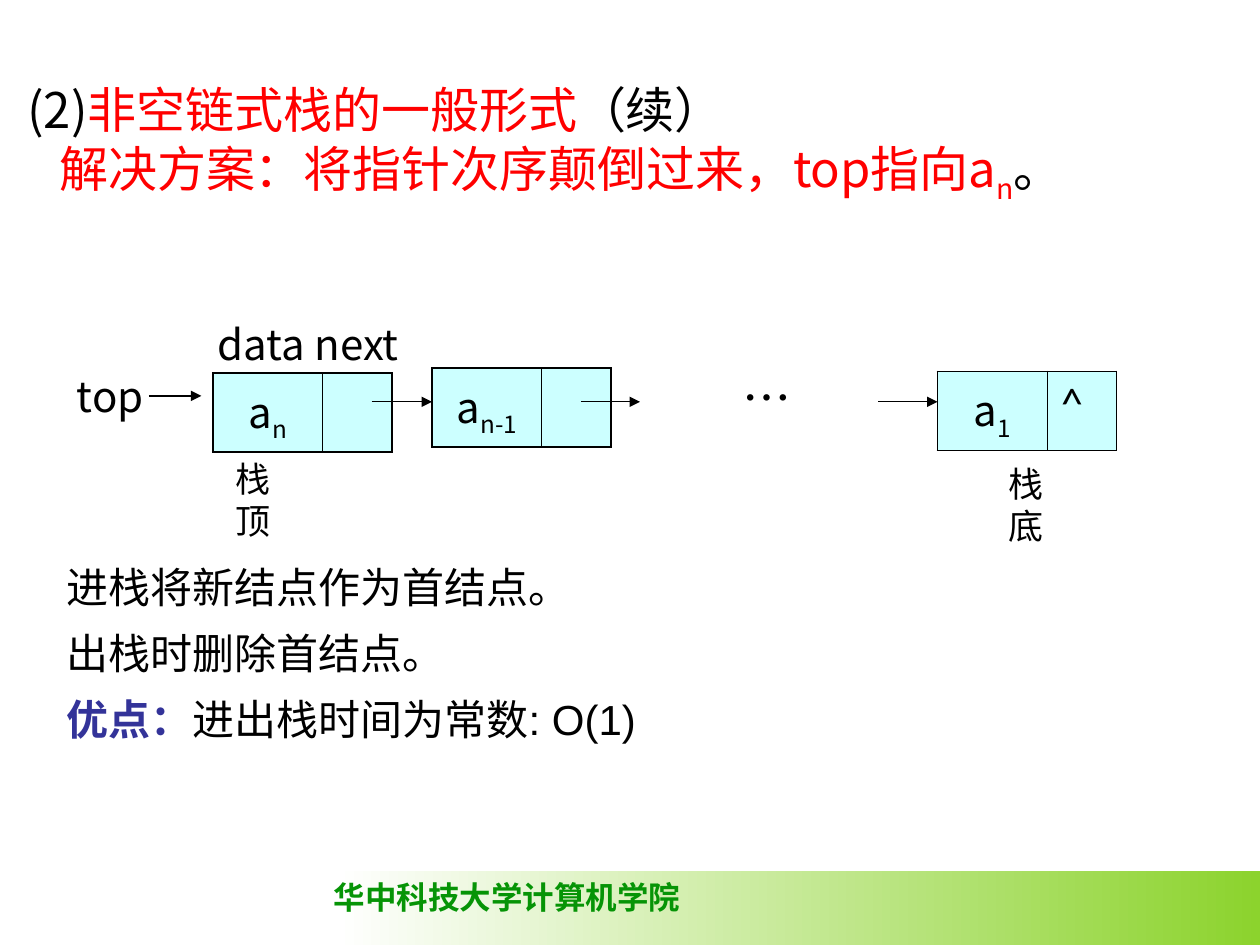
from lxml.etree import SubElement
from pptx import Presentation
from pptx.dml.color import RGBColor as RGB
from pptx.enum.shapes import MSO_CONNECTOR as LINE, MSO_SHAPE as SHAPE
from pptx.enum.text import MSO_ANCHOR as ANCHOR, MSO_AUTO_SIZE as SIZE, PP_ALIGN as ALIGN
from pptx.oxml.ns import qn
from pptx.util import Cm, Pt

HUE = {"ink": "000000", "red": "FF0000", "blue": "333399", "cell": "CCFFFF",
       "green": "069406", "lime": "8CD32D", "white": "FFFFFF"}
NOTO = "Noto Sans CJK SC"


def write(para, parts, size, face=NOTO, bold=False):
    for text, hue, *sub in parts:
        run = para.add_run()
        run.text = text
        font = run.font
        font.size, font.name, font.bold = Pt(size), face, bold or hue == "blue"
        font.color.rgb = RGB.from_string(HUE[hue])
        props = run._r.get_or_add_rPr()
        SubElement(props, qn("a:ea")).set("typeface", NOTO)
        if sub:
            props.set("baseline", "-25000")


def border(cell, sides):
    props = cell._tc.get_or_add_tcPr()
    for side, width in zip("LRTB", sides):
        edge = SubElement(props, qn("a:ln" + side), w=str(Pt(width)))
        fill = SubElement(edge, qn("a:solidFill"))
        SubElement(fill, qn("a:srgbClr"), val=HUE["ink"])


deck = Presentation()
deck.slide_width, deck.slide_height = Cm(25.4), Cm(19.05)
slide = deck.slides.add_slide(deck.slide_layouts[1])
shapes = slide.shapes

band = shapes.add_shape(SHAPE.RECTANGLE, Cm(6.78), Cm(17.55), Cm(18.62), Cm(1.5))
band.shadow.inherit = False
band.line.fill.background()
band.fill.gradient()
band.fill.gradient_angle = 0
for stop, hue in zip(band.fill.gradient_stops, ("white", "lime")):
    stop.color.rgb = RGB.from_string(HUE[hue])

head = [
    [("(2)", "ink"), ("非空链式栈的一般形式", "red"), ("（续）", "ink")],
    [("解决方案：将指针次序颠倒过来，top指向a", "red"), ("n", "red", "sub"), ("。", "ink")],
]
notes = [
    [("进栈将新结点作为首结点。", "ink")],
    [("出栈时删除首结点。", "ink")],
    [("优点：", "blue"), ("进出栈时间为常数: O(1)", "ink")],
]
blocks = [
    (shapes.title, (0.3, 1.6, 24.56, 3.3), head, 28, NOTO, 0, (0, 0.64)),
    (shapes.placeholders[1], (1.09, 11.18, 23.01, 5.5), notes, 24, "Arial", 9, (0, 0, 0)),
]
for box, place, lines, size, face, gap, margins in blocks:
    box.left, box.top, box.width, box.height = map(Cm, place)
    frame = box.text_frame
    frame.auto_size, frame.vertical_anchor = SIZE.NONE, ANCHOR.TOP
    frame.margin_top = 0 if box == shapes.title else Cm(0.13)
    for i, (line, margin) in enumerate(zip(lines, margins)):
        para = frame.add_paragraph() if i else frame.paragraphs[0]
        para.alignment = ALIGN.LEFT
        para.space_before = Pt(gap if i else 0)
        props = para._p.get_or_add_pPr()
        props.set("marL", str(Cm(margin)))
        props.set("indent", "0")
        SubElement(props, qn("a:buNone"))
        write(para, line, size, face)

nodes = [(4.29, 7.52, "n", ""), (8.71, 7.42, "n-1", ""), (18.9, 7.49, "1", "^")]
for left, top, sub, link in nodes:
    table = shapes.add_table(1, 2, Cm(left), Cm(top), Cm(3.61), Cm(1.59)).table
    table.first_row = table.horz_banding = False
    table.columns[0].width, table.columns[1].width = Cm(2.21), Cm(1.4)
    data, after = table.cell(0, 0), table.cell(0, 1)
    border(data, (1.08, 0.45, 1.08, 1.08))
    border(after, (0.45, 1.08, 1.08, 1.08))
    for cell in (data, after):
        cell.fill.solid()
        cell.fill.fore_color.rgb = RGB.from_string(HUE["cell"])
    para = data.text_frame.paragraphs[0]
    para.alignment = ALIGN.CENTER
    write(para, [("a", "ink"), (sub, "ink", "sub")], 24)
    if link:
        write(after.text_frame.paragraphs[0], [(link, "ink")], 24, "Lato")

labels = [
    ("data next", 4.14, 6.3, 4.24, 1.27, 24, "ink"),
    ("top", 1.3, 7.34, 1.9, 1.27, 24, "ink"),
    ("栈底", 20.09, 9.19, 1.9, 1.12, 20, "ink"),
    ("栈顶", 4.5, 9.09, 1.9, 1.12, 20, "ink"),
    ("…", 14.71, 7.29, 2.39, 1.45, 28, "ink"),
    ("华中科技大学计算机学院", 6.48, 17.58, 7.49, 1.02, 18, "green"),
]
for text, left, top, width, height, size, hue in labels:
    frame = shapes.add_textbox(Cm(left), Cm(top), Cm(width), Cm(height)).text_frame
    frame.word_wrap = False
    write(frame.paragraphs[0], [(text, hue)], size, bold=hue == "green")

arrows = [(3, 4.06, 7.98), (7.49, 8.71, 8.1), (11.71, 12.9, 8.1), (17.7, 18.9, 8.1)]
for start, end, y in arrows:
    arrow = shapes.add_connector(LINE.STRAIGHT, Cm(start), Cm(y), Cm(end), Cm(y))
    arrow.line.width = Pt(0.75)
    arrow.line.color.rgb = RGB.from_string(HUE["ink"])
    SubElement(arrow.line._get_or_add_ln(), qn("a:tailEnd"), type="triangle")
    SubElement(arrow._element.spPr, qn("a:effectLst"))

deck.save("out.pptx")
